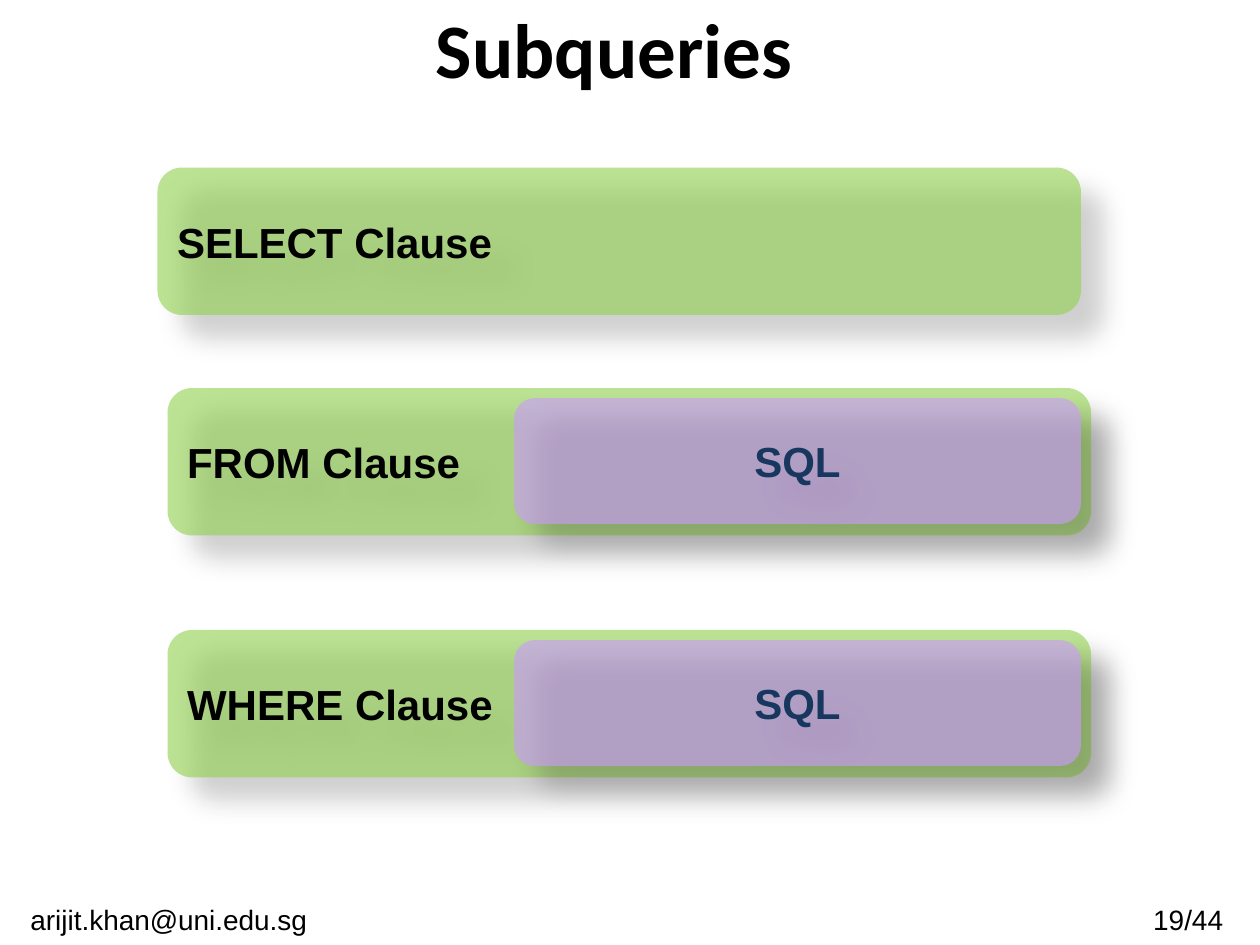
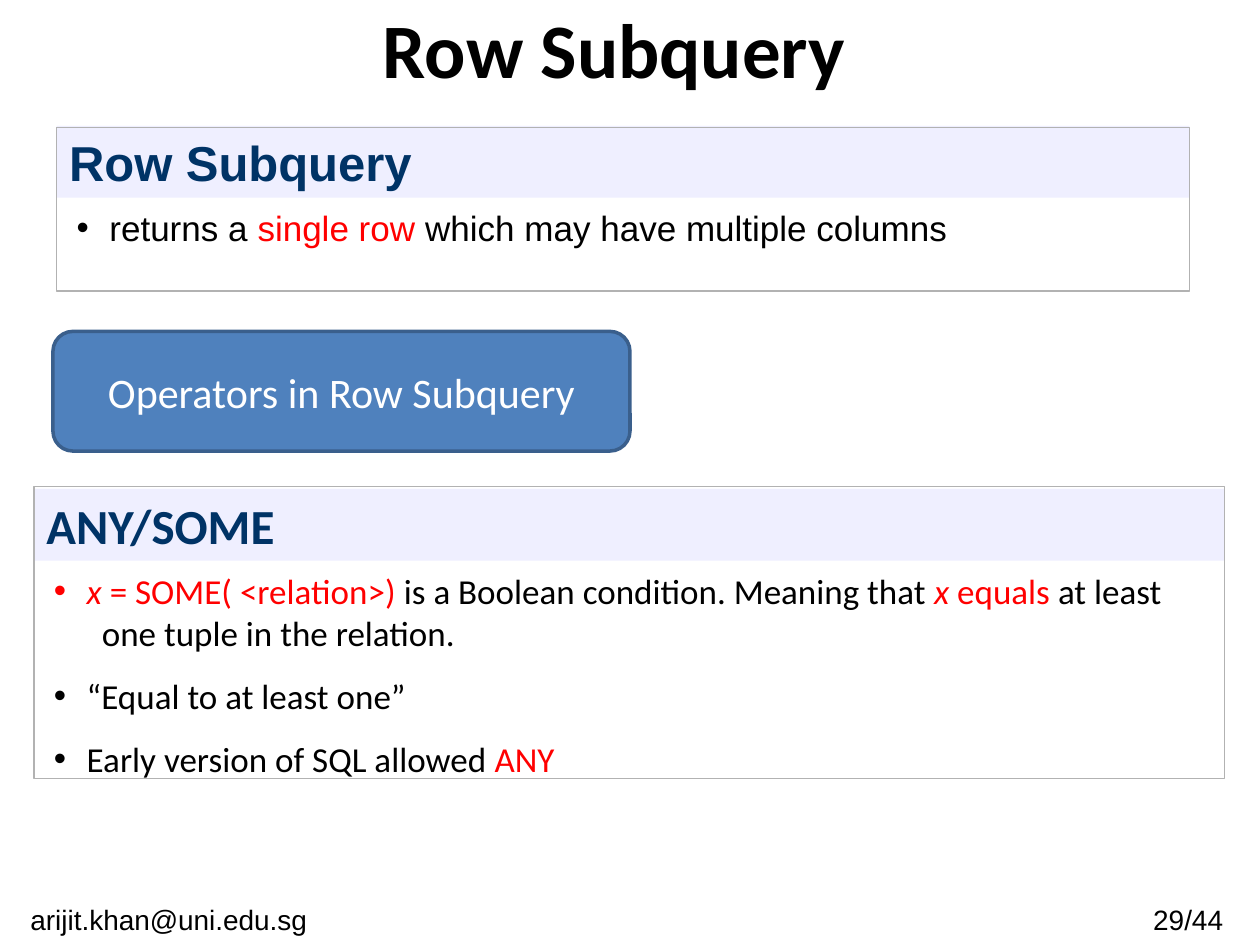
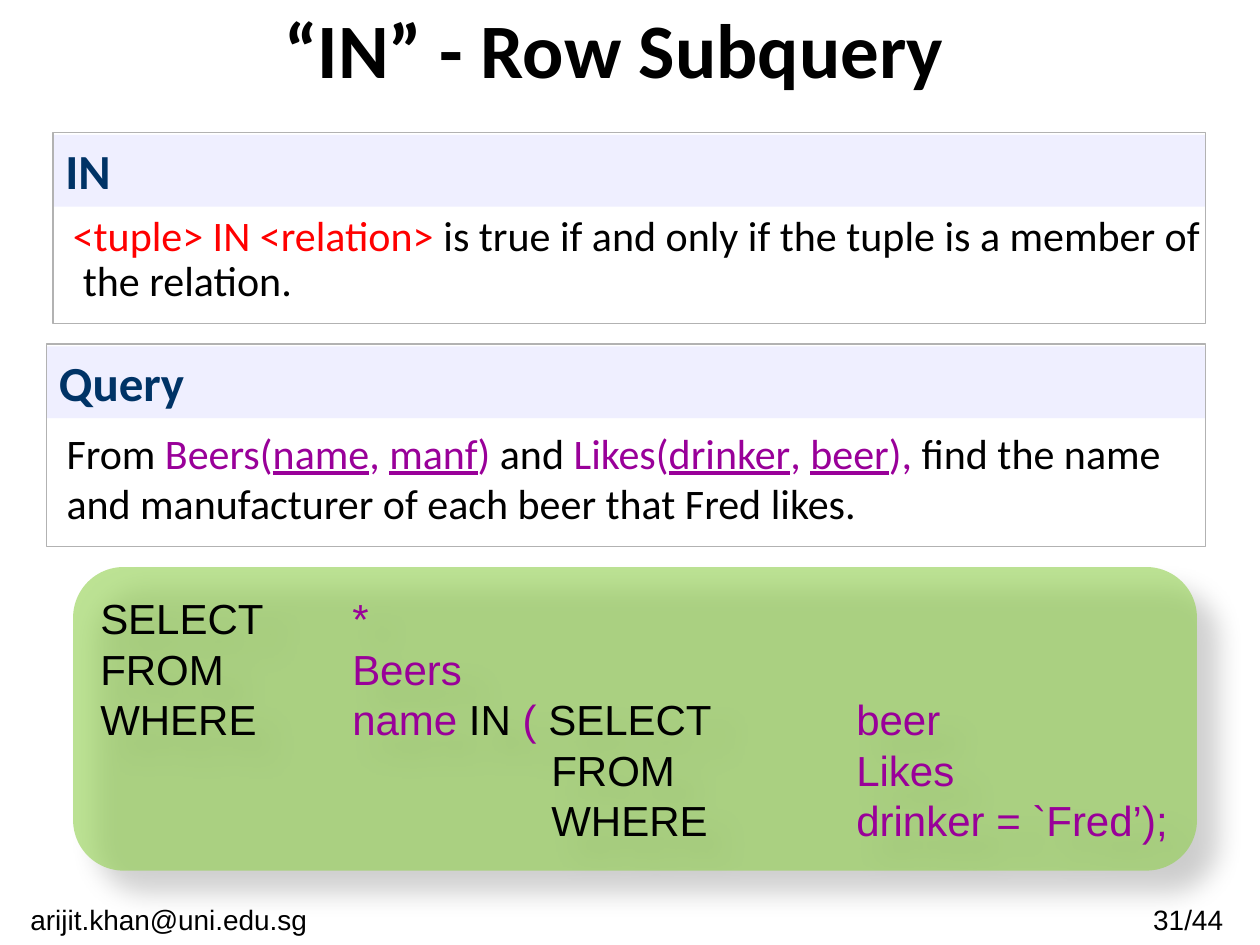
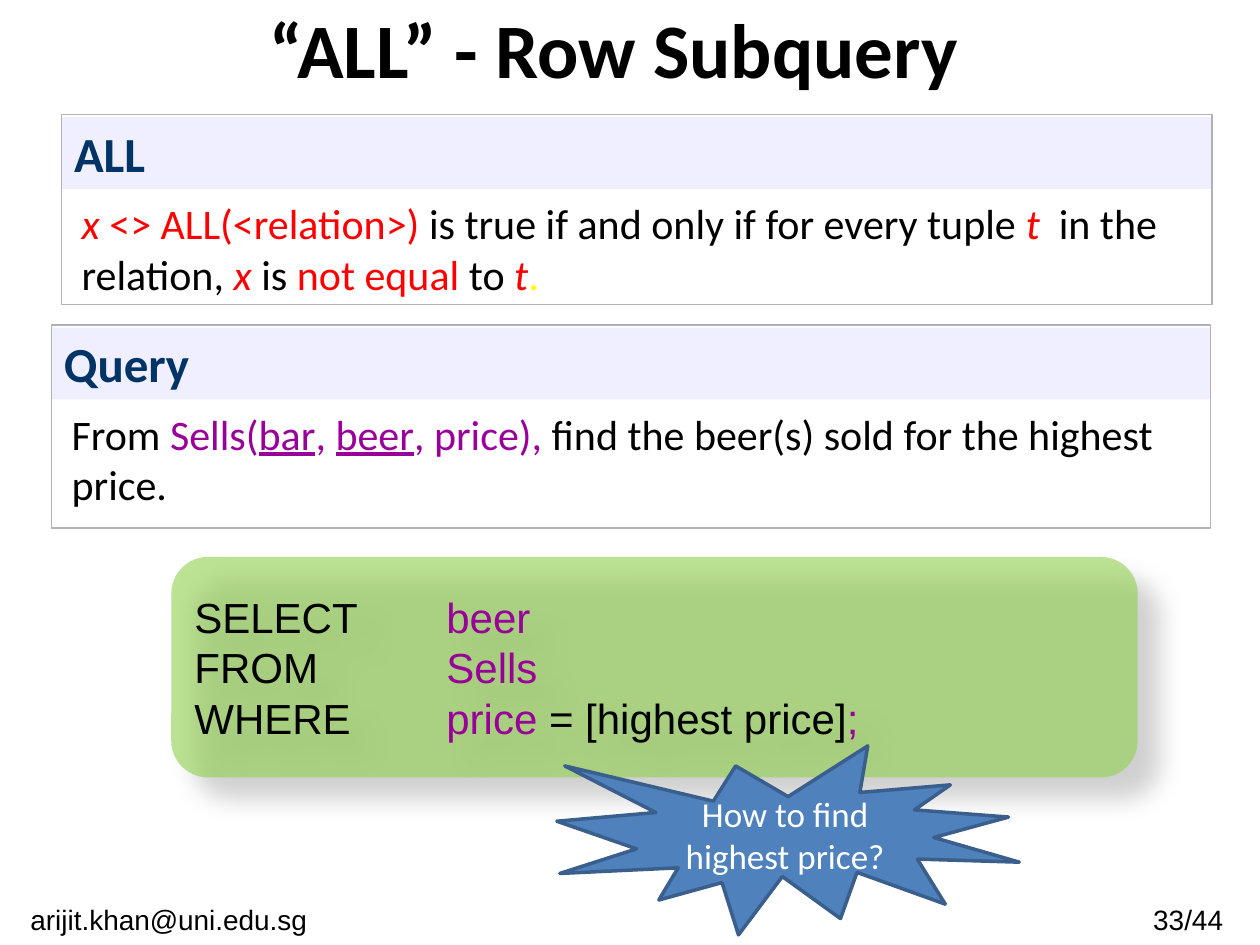
from lxml.etree import SubElement
from pptx import Presentation
from pptx.dml.color import RGBColor
from pptx.enum.shapes import MSO_SHAPE
from pptx.enum.text import MSO_ANCHOR, PP_ALIGN
from pptx.oxml.ns import qn
from pptx.util import Inches, Pt

# Shared style
BLACK, WHITE, RED, YELLOW = "000000", "FFFFFF", "FF0000", "FFFF00"
PURPLE, NAVY, DARK_BLUE = "990099", "003366", "17375E"
GREEN, LILAC, BLUE, BLUE_EDGE = "92D050", "CC99FF", "4F81BD", "3A5F8C"
HEADER_FILL, FRAME_LINE = "EFEFFF", "B2B2B2"
BODY_FONT, CODE_FONT = "Calibri", "Arial"
CONTACT, PAGE_COUNT = "arijit.khan@uni.edu.sg", 44
CODE_TABS = (2, 3.58, 6)


def color(value):
    return RGBColor.from_string(value)


class Deck:
    """Holds the style and the slide being built."""

    def __init__(self):
        self.presentation = Presentation()
        self.presentation.slide_width = Inches(10)
        self.presentation.slide_height = Inches(7.5)
        self.slide = None

    def new_slide(self, title, number):
        self.slide = self.presentation.slides.add_slide(self.presentation.slide_layouts[6])
        frame = self.text(0.25, 0, 9.25, 0.75, [[title]], 44, bold=True,
                          align=PP_ALIGN.CENTER)
        frame.vertical_anchor = MSO_ANCHOR.MIDDLE
        for left, width, footer in ((8.85, 1.16, f"{number}/{PAGE_COUNT}"), (0, 2.68, CONTACT)):
            self.text(left, 7.11, width, 0.39, [[footer]], 16, CODE_FONT,
                      align=PP_ALIGN.CENTER)

    def fill_text(self, frame, paragraphs, size, font=BODY_FONT, text_color=BLACK,
                  bold=False, align=PP_ALIGN.LEFT):
        """A run is a string, or a tuple of text, colour and optional style i or u."""
        for index, runs in enumerate(paragraphs):
            paragraph = frame.add_paragraph() if index else frame.paragraphs[0]
            paragraph.alignment = align
            for item in runs:
                words, run_color, style = ((item, text_color, "") if isinstance(item, str)
                                           else (*item, "")[:3])
                run = paragraph.add_run()
                run.text = words
                run.font.name = font
                run.font.size = Pt(size)
                run.font.bold = bold
                run.font.italic = style == "i"
                run.font.underline = style == "u"
                run.font.color.rgb = color(run_color)
        return frame

    def text(self, left, top, width, height, paragraphs, size, font=BODY_FONT, **style):
        box = self.slide.shapes.add_textbox(Inches(left), Inches(top),
                                            Inches(width), Inches(height))
        box.text_frame.word_wrap = True
        return self.fill_text(box.text_frame, paragraphs, size, font, **style)

    def shape(self, kind, left, top, width, height, fill=None, line=None, line_width=0.75):
        shape = self.slide.shapes.add_shape(kind, Inches(left), Inches(top),
                                            Inches(width), Inches(height))
        shape.shadow.inherit = False
        if fill:
            shape.fill.solid()
            shape.fill.fore_color.rgb = color(fill)
        else:
            shape.fill.background()
        if line:
            shape.line.color.rgb = color(line)
            shape.line.width = Pt(line_width)
        else:
            shape.line.fill.background()
        return shape

    def glass_box(self, left, top, width, height, paragraphs, fill=GREEN, **style):
        """Translucent rounded box with a soft shadow."""
        shape = self.shape(MSO_SHAPE.ROUNDED_RECTANGLE, left, top, width, height, fill)
        properties = shape._element.spPr
        fill_color = properties.find(qn("a:solidFill")).find(qn("a:srgbClr"))
        SubElement(fill_color, qn("a:alpha"), val="61000")
        shadow = SubElement(properties.find(qn("a:effectLst")), qn("a:outerShdw"),
                            blurRad=str(Pt(15)), dist=str(Pt(18)), dir="2700000",
                            algn="ctr", rotWithShape="0")
        shadow_color = SubElement(shadow, qn("a:srgbClr"), val=BLACK)
        SubElement(shadow_color, qn("a:alpha"), val="30000")
        shape.text_frame.word_wrap = False
        shape.text_frame.vertical_anchor = MSO_ANCHOR.MIDDLE
        return self.fill_text(shape.text_frame, paragraphs, 24, CODE_FONT, **style)

    def code(self, left, top, width, height, lines):
        frame = self.glass_box(left, top, width, height, lines)
        for paragraph in frame.paragraphs:
            tabs = SubElement(paragraph._p.get_or_add_pPr(), qn("a:tabLst"))
            for stop in CODE_TABS:
                SubElement(tabs, qn("a:tab"), pos=str(Inches(stop)), algn="l")

    def callout(self, kind, left, top, width, height, words, size):
        shape = self.shape(kind, left, top, width, height, BLUE, BLUE_EDGE, 2)
        shape.text_frame.word_wrap = True
        shape.text_frame.vertical_anchor = MSO_ANCHOR.MIDDLE
        self.fill_text(shape.text_frame, [[words]], size, text_color=WHITE,
                       align=PP_ALIGN.CENTER)

    def panel(self, left, top, width, height, heading, paragraphs, size=24, font=BODY_FONT,
              body_width=None, body_height=0.91, frame_shift=-0.02):
        """Tinted heading, thin frame and body text."""
        header = self.shape(MSO_SHAPE.RECTANGLE, left, top, width, 0.57, HEADER_FILL)
        header.text_frame.vertical_anchor = MSO_ANCHOR.TOP
        self.fill_text(header.text_frame, [[heading]], 28, font, NAVY, bold=True)
        self.shape(MSO_SHAPE.RECTANGLE, left, top + frame_shift, width, height,
                   line=FRAME_LINE)
        return self.text(left + 0.06, top + 0.59, body_width or width - 0.06, body_height,
                         paragraphs, size, font)

    def indent(self, paragraph, left, bullet=False):
        properties = paragraph._p.get_or_add_pPr()
        properties.set("marL", str(Inches(left)))
        properties.set("indent", str(Inches(-left if bullet else 0)))
        if bullet:
            SubElement(properties, qn("a:buFont"), typeface="Arial")
            SubElement(properties, qn("a:buChar"), char="•")


def subqueries(deck):
    deck.new_slide("Subqueries", 19)
    for clause, left, top in (("SELECT", 1.25, 1.33), ("FROM", 1.33, 3.08), ("WHERE", 1.33, 5)):
        deck.glass_box(left, top, 7.33, 1.17, [[f"{clause} Clause"]], bold=True)
        if clause != "SELECT":
            deck.glass_box(4.08, top + 0.08, 4.5, 1, [["SQL"]], LILAC, bold=True,
                           text_color=DARK_BLUE, align=PP_ALIGN.CENTER)


def row_subquery(deck):
    deck.new_slide("Row Subquery", 29)
    body = deck.panel(0.45, 1, 8.99, 1.3, "Row Subquery", [
        ["returns a ", ("single row ", RED), "which may have multiple columns"],
    ], 20, CODE_FONT, body_width=9.11, body_height=0.44, frame_shift=0.01)
    deck.indent(body.paragraphs[0], 0.26, bullet=True)

    deck.callout(MSO_SHAPE.ROUNDED_RECTANGLE, 0.42, 2.63, 4.58, 0.95,
                 "Operators in Row Subquery", 24)

    body = deck.panel(0.27, 3.88, 9.45, 2.32, "ANY/SOME", [
        [("x", RED, "i"), (" = SOME( <relation>) ", RED),
         "is a Boolean condition. Meaning that ", ("x", RED, "i"), (" equals ", RED), "at least"],
        ["one tuple in the relation."],
        ["“Equal to at least one”"],
        ["Early version of SQL allowed ", ("ANY", RED)],
    ], 20, body_height=2.12)
    first, continuation, *others = body.paragraphs
    deck.indent(continuation, 0.38)
    for paragraph in others:
        paragraph.space_before = Pt(12)
    for paragraph in (first, *others):
        deck.indent(paragraph, 0.26, bullet=True)


def in_operator(deck):
    deck.new_slide("“IN” - Row Subquery", 31)
    body = deck.panel(0.42, 1.07, 9.15, 1.52, "IN", [
        [("<tuple> IN <relation> ", RED), "is true if and only if the tuple is a member of"],
        ["the relation."],
    ], body_width=9.37, body_height=0.83)
    for paragraph in body.paragraphs:
        paragraph.line_spacing = 0.9
    deck.indent(body.paragraphs[1], 0.08)

    deck.panel(0.37, 2.75, 9.2, 1.61, "Query", [
        ["From ", ("Beers(", PURPLE), ("name", PURPLE, "u"), (", ", PURPLE),
         ("manf", PURPLE, "u"), (")", PURPLE), " and ", ("Likes(", PURPLE),
         ("drinker", PURPLE, "u"), (", ", PURPLE), ("beer", PURPLE, "u"), ("),", PURPLE),
         " find the name and manufacturer of each beer that Fred likes."],
    ])
    deck.code(0.58, 4.5, 8.92, 2.41, [
        ["SELECT\t", ("*", PURPLE)],
        ["FROM\t", ("Beers", PURPLE)],
        ["WHERE\t", ("name ", PURPLE), "IN ", ("( ", PURPLE), "SELECT\t", ("beer", PURPLE)],
        ["\t\tFROM\t", ("Likes", PURPLE)],
        ["\t\tWHERE\t", ("drinker = `Fred’);", PURPLE)],
    ])


def all_operator(deck):
    deck.new_slide("“ALL” - Row Subquery", 33)
    deck.panel(0.49, 0.93, 9.13, 1.51, "ALL", [
        [("x", RED, "i"), (" <> ALL(<relation>) ", RED),
         "is true if and only if for every tuple ", ("t", RED, "i"), "  in the"],
        ["relation, ", ("x ", RED, "i"), "is ", ("not equal ", RED), "to ",
         ("t", RED, "i"), (".", YELLOW)],
    ])
    deck.panel(0.41, 2.6, 9.2, 1.61, "Query", [
        ["From ", ("Sells(", PURPLE), ("bar", PURPLE, "u"), (", ", PURPLE),
         ("beer", PURPLE, "u"), (", price),", PURPLE),
         " find the beer(s) sold for the highest price."],
    ])
    deck.code(1.36, 4.42, 7.67, 1.75, [
        ["SELECT\t", ("beer", PURPLE)],
        ["FROM\t", ("Sells", PURPLE)],
        ["WHERE\t", ("price ", PURPLE), "= [highest price]", (";", PURPLE)],
    ])
    deck.callout(MSO_SHAPE.EXPLOSION1, 4.42, 5.92, 3.67, 1.5, "How to find highest price?", 20)


def main():
    deck = Deck()
    for build in (subqueries, row_subquery, in_operator, all_operator):
        build(deck)
    deck.presentation.save("out.pptx")


if __name__ == "__main__":
    main()
